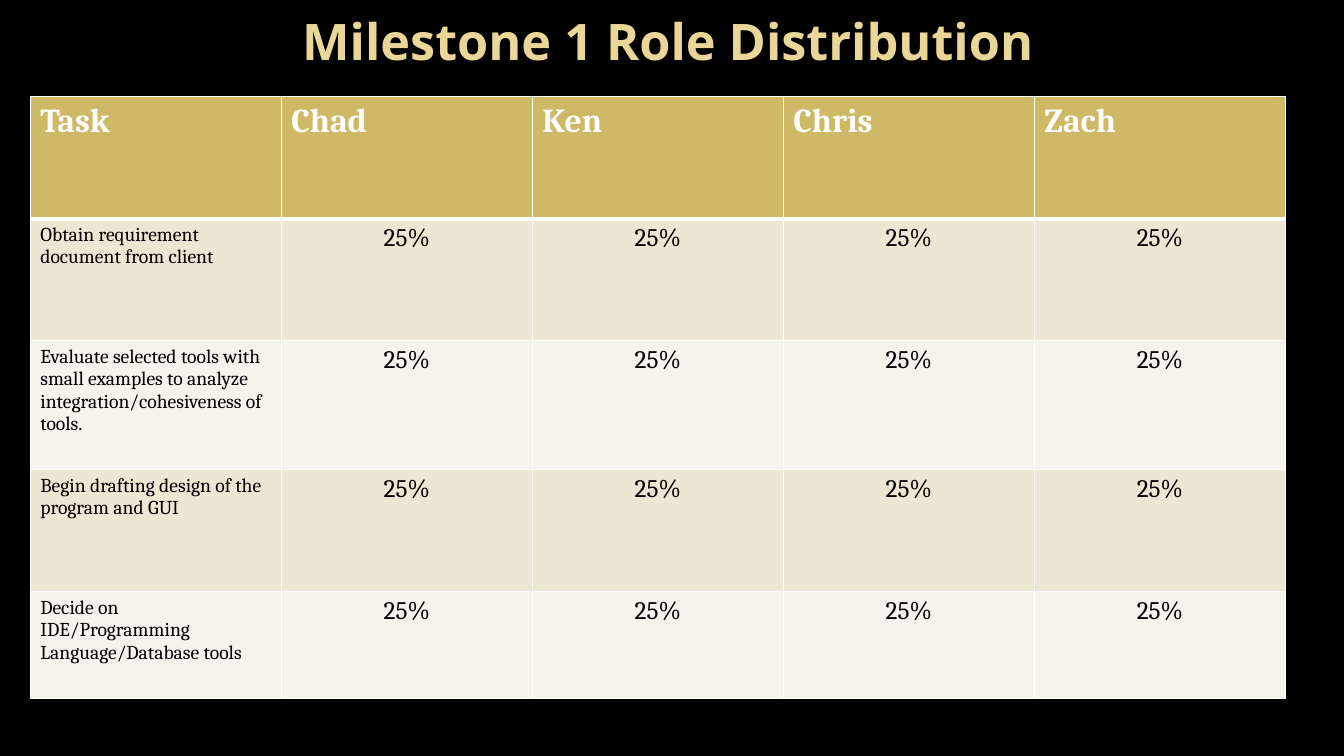
from lxml.etree import SubElement
from pptx import Presentation
from pptx.dml.color import RGBColor
from pptx.enum.text import MSO_ANCHOR, MSO_AUTO_SIZE, PP_ALIGN
from pptx.oxml.ns import qn
from pptx.util import Pt

TITLE = "Milestone 1 Role Distribution"
HEADER = ["Task", "Chad", "Ken", "Chris", "Zach"]
TASKS = [
    "Obtain requirement document from client",
    "Evaluate selected tools with small examples to analyze "
    "integration/cohesiveness of tools.",
    "Begin drafting design of the program and GUI",
    "Decide on IDE/Programming Language/Database tools",
]
SHARE = "25%"

COLORS = {
    "background": "000000",
    "title": "EAD696",
    "header": "CEB966",
    "odd": "EDE6D3",
    "even": "F6F3EA",
    "light": "FFFFFF",
    "dark": "000000",
}
TITLE_FONT = {"name": "Open Sans", "size": Pt(36), "bold": True}
HEADER_FONT = {"name": "Cambria", "size": Pt(24), "bold": True}
TASK_FONT = {"name": "Cambria", "size": Pt(14), "bold": False}
SHARE_FONT = {"name": "Cambria", "size": Pt(18), "bold": False}

PX = 9144  # 100 px to the inch
SLIDE_SIZE = (1333, 750)
TITLE_BOX = (177, 0, 971, 80)
TABLE_LEFT, TABLE_TOP, COLUMN_WIDTH = 30, 96, 249
ROW_HEIGHTS = [121, 121, 128, 121, 106]


def rgb(name):
    return RGBColor.from_string(COLORS[name])


def write(frame, text, font, color, align):
    paragraph = frame.paragraphs[0]
    paragraph.alignment = align
    run = paragraph.add_run()
    run.text = text
    for attribute, value in font.items():
        setattr(run.font, attribute, value)
    run.font.color.rgb = rgb(color)


def add_borders(cell, widths):
    """Draw light cell borders; widths maps side letters to points."""
    properties = cell._tc.get_or_add_tcPr()
    for side, width in widths.items():
        line = SubElement(properties, qn(f"a:ln{side}"), w=str(Pt(width)))
        fill = SubElement(line, qn("a:solidFill"))
        SubElement(fill, qn("a:srgbClr"), val=COLORS["light"])


def add_title(slide):
    title = slide.shapes.title
    title.left, title.top, title.width, title.height = (n * PX for n in TITLE_BOX)
    frame = title.text_frame
    frame.word_wrap = True
    frame.auto_size = MSO_AUTO_SIZE.NONE
    frame.vertical_anchor = MSO_ANCHOR.MIDDLE
    write(frame, TITLE, TITLE_FONT, "title", PP_ALIGN.CENTER)


def add_roles(slide):
    rows = [HEADER] + [[task] + [SHARE] * (len(HEADER) - 1) for task in TASKS]
    roles = slide.shapes.add_table(
        len(rows), len(HEADER), TABLE_LEFT * PX, TABLE_TOP * PX,
        COLUMN_WIDTH * len(HEADER) * PX, sum(ROW_HEIGHTS) * PX).table
    for column in roles.columns:
        column.width = COLUMN_WIDTH * PX
    for row, height in zip(roles.rows, ROW_HEIGHTS):
        row.height = height * PX

    for r, texts in enumerate(rows):
        band = "header" if r == 0 else "odd" if r % 2 else "even"
        for c, text in enumerate(texts):
            cell = roles.cell(r, c)
            add_borders(cell, {"L": 1, "R": 1, "T": 3 if r == 1 else 1,
                               "B": 3 if r == 0 else 1})
            cell.fill.solid()
            cell.fill.fore_color.rgb = rgb(band)
            if r == 0:
                style = HEADER_FONT, "light", PP_ALIGN.LEFT
            elif c == 0:
                style = TASK_FONT, "dark", PP_ALIGN.LEFT
            else:
                style = SHARE_FONT, "dark", PP_ALIGN.CENTER
            write(cell.text_frame, text, *style)


def main():
    deck = Presentation()
    deck.slide_width, deck.slide_height = (n * PX for n in SLIDE_SIZE)
    slide = deck.slides.add_slide(deck.slide_layouts[5])
    slide.background.fill.solid()
    slide.background.fill.fore_color.rgb = rgb("background")
    add_title(slide)
    add_roles(slide)
    deck.save("out.pptx")


if __name__ == "__main__":
    main()
